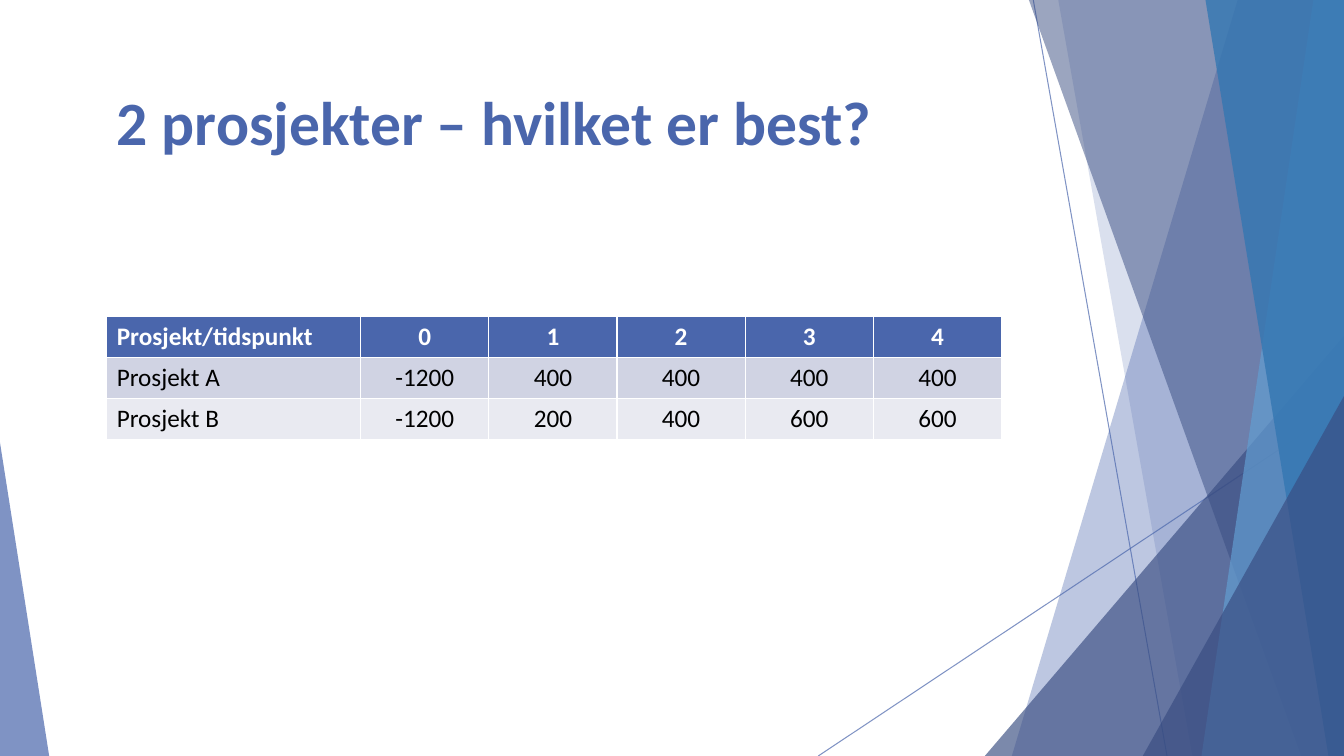
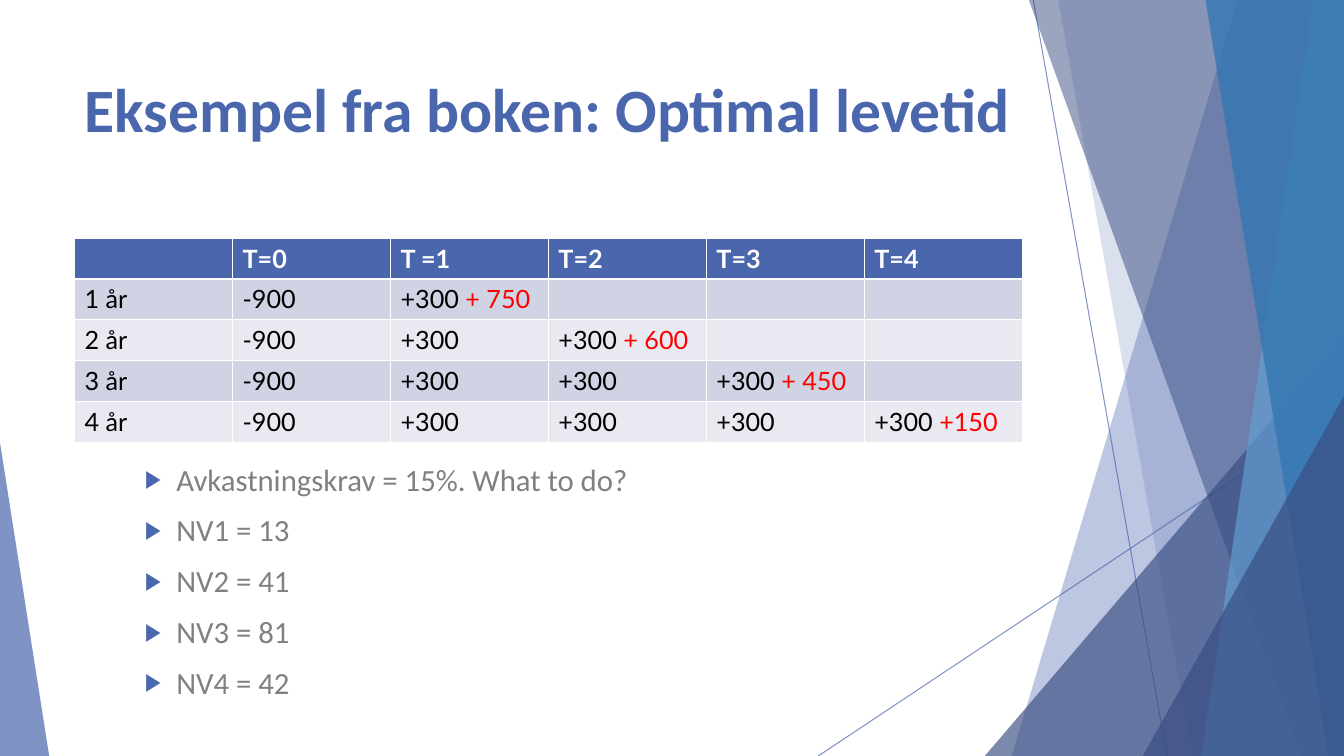
import lxml.etree
import pptx
import pptx.dml.color
import pptx.enum.shapes
import pptx.enum.text
import pptx.oxml.ns
import pptx.util

Cm, Pt = pptx.util.Cm, pptx.util.Pt
RGBColor = pptx.dml.color.RGBColor
Align = pptx.enum.text.PP_ALIGN
qn = pptx.oxml.ns.qn

BLUE = RGBColor(0x4A, 0x66, 0xAC)
NAVY = RGBColor(0x38, 0x4C, 0x81)
SKY = RGBColor(0x62, 0x9D, 0xD1)
TEAL = RGBColor(0x34, 0x77, 0xB2)
GRAY = RGBColor(0x80, 0x80, 0x80)
DARK = RGBColor(0xD0, 0xD3, 0xE3)
LIGHT = RGBColor(0xE9, 0xEA, 0xF1)
WHITE = RGBColor(0xFF, 0xFF, 0xFF)
BLACK = RGBColor(0, 0, 0)
RED = RGBColor(0xFF, 0, 0)
WIDE, HIGH = 33.87, 19.05


def write(par, text, size=18, face="Calibri", ink=BLACK, bold=False, align=Align.LEFT):
    """Fill a paragraph; the part after a bar is red."""
    par.alignment = align
    for part, tint in zip(text.split("|"), (ink, RED)):
        if part:
            run = par.add_run()
            run.text = part
            run.font.size, run.font.name, run.font.bold = Pt(size), face, bold
            run.font.color.rgb = tint


def fade(shape, share):
    """Make the colours of a shape see-through; share is the opacity in percent."""
    for tint in shape.element.xpath(".//a:srgbClr"):
        lxml.etree.SubElement(tint, qn("a:alpha"), val=str(share * 1000))


prs = pptx.Presentation()
prs.slide_width, prs.slide_height = Cm(WIDE), Cm(HIGH)
first = prs.slides.add_slide(prs.slide_layouts[5])
second = prs.slides.add_slide(prs.slide_layouts[1])

# Backdrop: two thin lines
group = first.shapes.add_group_shape()
decor = group.shapes
for x1, y1, x2, y2 in ((26.04, 0, 29.41, HIGH), (WIDE, 10.24, 20.62, HIGH)):
    line = decor.add_connector(
        pptx.enum.shapes.MSO_CONNECTOR.STRAIGHT, Cm(x1), Cm(y1), Cm(x2), Cm(y2))
    line.line.color.rgb, line.line.width = BLUE, Pt(0.75)
    lxml.etree.SubElement(line.element.spPr, qn("a:effectLst"))
    fade(line, 70)

# Backdrop: bands (top and bottom x) and triangles (left, width, height, apex)
for dims, tint, share in (
    ((31.19, 25.5), BLUE, 36),
    ((26.67, 30.05), BLUE, 20),
    ((24.82, 9.05, 10.59, 1), NAVY, 66),
    ((25.93, 32.79), NAVY, 50),
    ((33.1, 30.28), SKY, 70),
    ((30.38, 33.48), TEAL, 80),
    ((28.8, 5.07, 9.07, 1), NAVY, 66),
    ((0, 1.24, 7.9, 0), BLUE, 70),
):
    if len(dims) == 2:
        top, base = dims
        pen = decor.build_freeform(Cm(top), 0)
        pen.add_line_segments(
            [(Cm(WIDE), 0), (Cm(WIDE), Cm(HIGH)), (Cm(base), Cm(HIGH))], close=True)
        shape = pen.convert_to_shape()
    else:
        left, width, height, apex = dims
        shape = decor.add_shape(
            pptx.enum.shapes.MSO_SHAPE.ISOSCELES_TRIANGLE,
            Cm(left), Cm(HIGH - height), Cm(width), Cm(height))
        shape.adjustments[0] = apex
    shape.shadow.inherit = False
    shape.fill.solid()
    shape.fill.fore_color.rgb = tint
    shape.line.fill.background()
    fade(shape, share)

# Move the backdrop to the master, with ids of its own
master = prs.slide_master
master.shapes.element.insert(2, group.element)
for num, item in enumerate(master.element.xpath(".//p:cNvPr"), 1):
    item.set("id", str(num))

# Titles and tables
flows = (
    ("Prosjekt/tidspunkt", "0", "1", "2", "3", "4"),
    ("Prosjekt A", "-1200", "400", "400", "400", "400"),
    ("Prosjekt B", "-1200", "200", "400", "600", "600"),
)
lives = (
    ("", "T=0", "T =1", "T=2", "T=3", "T=4"),
    ("1 år", "-900", "+300 |+ 750", "", "", ""),
    ("2 år", "-900", "+300", "+300 |+ 600", "", ""),
    ("3 år", "-900", "+300", "+300", "+300 |+ 450", ""),
    ("4 år", "-900", "+300", "+300", "+300", "+300 |+150"),
)
for slide, text, left, top, rows, start, lead, step, face, align in (
    (first, "2 prosjekter – hvilket er best?", 2.69, 1.98,
     flows, 7.98, 6.4, 3.23, "Calibri", Align.CENTER),
    (second, "Eksempel fra boken: Optimal levetid", 1.88, 1.65,
     lives, 6, 3.98, 3.98, "Lato", Align.LEFT),
):
    title = slide.shapes.title
    title.left, title.top, title.width, title.height = Cm(left), Cm(top), Cm(23.88), Cm(3.66)
    title.text_frame.auto_size = pptx.enum.text.MSO_AUTO_SIZE.NONE
    title.text_frame.vertical_anchor = pptx.enum.text.MSO_ANCHOR.TOP
    write(title.text_frame.paragraphs[0], text, size=44, ink=BLUE, bold=True)

    widths = [lead] + [step] * 5
    table = slide.shapes.add_table(
        len(rows), 6, Cm(left), Cm(start), Cm(sum(widths)), Cm(1.03 * len(rows))).table
    for col, width in zip(table.columns, widths):
        col.width = Cm(width)
    for r, row in enumerate(rows):
        fill = BLUE if r == 0 else DARK if r % 2 else LIGHT
        for c, value in enumerate(row):
            cell = table.cell(r, c)
            cell.fill.solid()
            cell.fill.fore_color.rgb = fill
            write(cell.text_frame.paragraphs[0], value, face=face, bold=r == 0,
                  ink=BLACK if r else WHITE, align=align if c else Align.LEFT)

# Bullet list
body = second.placeholders[1]
body.left, body.top, body.width, body.height = Cm(2.13), Cm(11.47), Cm(23.88), Cm(6.48)
frame = body.text_frame
frame.auto_size = pptx.enum.text.MSO_AUTO_SIZE.NONE
points = ("Avkastningskrav = 15%. What to do?", "NV1 = 13", "NV2 = 41", "NV3 = 81", "NV4 = 42")
for n, point in enumerate(points):
    par = frame.add_paragraph() if n else frame.paragraphs[0]
    par.level = 1
    par.space_before, par.space_after = Pt(0), Pt(10)
    write(par, point, size=22, ink=GRAY)
    props = par._p.get_or_add_pPr()
    props.set("marL", str(Cm(2.06)))
    props.set("indent", str(Cm(-0.79)))
    tint = lxml.etree.SubElement(props, qn("a:buClr"))
    lxml.etree.SubElement(tint, qn("a:srgbClr"), val=str(BLUE))
    lxml.etree.SubElement(props, qn("a:buSzPct"), val="80000")
    lxml.etree.SubElement(props, qn("a:buChar"), char="▶")

prs.save("out.pptx")
